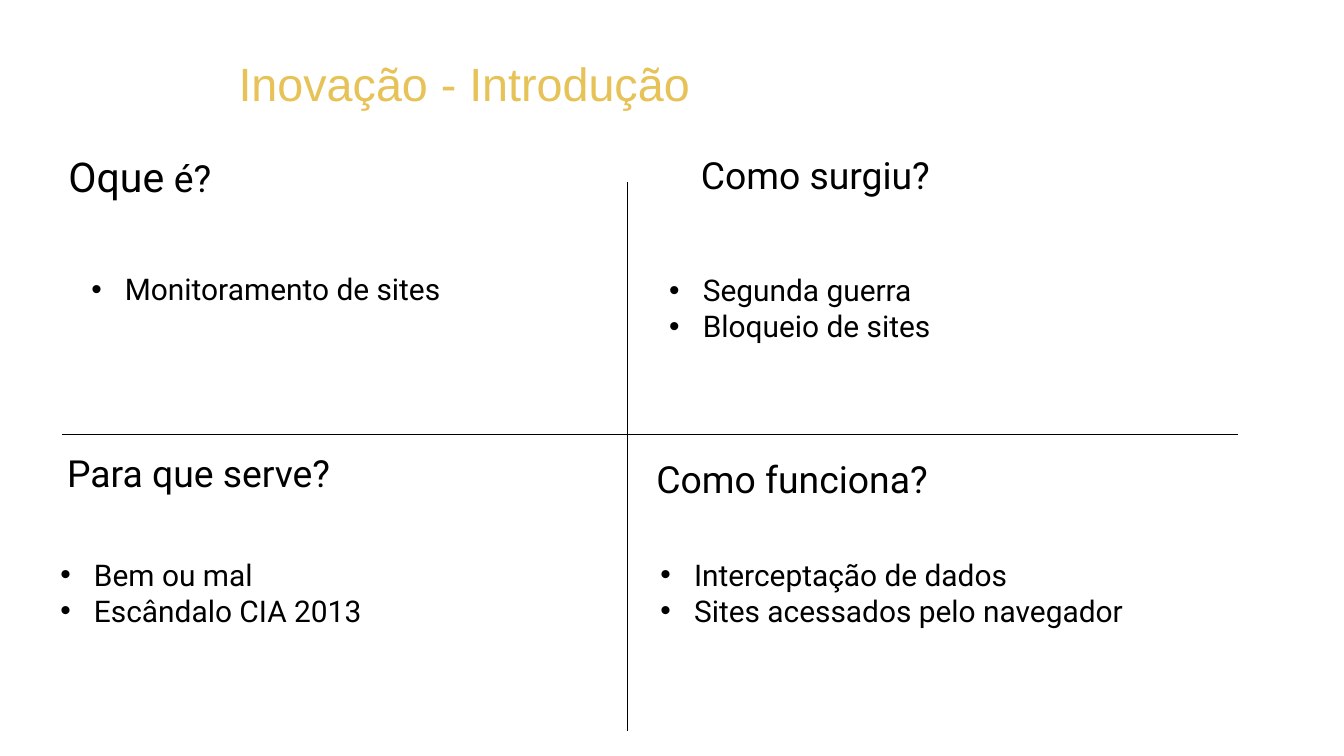
from lxml.etree import SubElement
from pptx import Presentation
from pptx.dml.color import RGBColor
from pptx.enum.shapes import MSO_CONNECTOR as Connector
from pptx.enum.text import MSO_ANCHOR as Anchor, MSO_AUTO_SIZE as AutoSize, PP_ALIGN as Align
from pptx.oxml.ns import qn
from pptx.util import Pt

PX = 9144  # EMU per px, 100 px to the inch
COLORS = {"title": "E6C257", "ink": "000000"}

# heading runs (text, size), heading place, bullets, bullets place
QUADRANTS = [
    ([("Oque", 44), (" é?", 40)], (92, 221, 525, 84),
     ["Monitoramento de sites"], (76, 398, 745, 108)),
    ([("Como surgiu?", 40)], (1033, 221, 525, 77),
     ["Segunda guerra", "Bloqueio de sites"], (936, 400, 745, 162)),
    ([("Para que serve?", 40)], (90, 665, 525, 77),
     ["Bem ou mal", "Escândalo CIA 2013"], (30, 823, 745, 162)),
    ([("Como funciona?", 40)], (967, 674, 525, 77),
     ["Interceptação de dados", "Sites acessados pelo navegador"], (923, 823, 794, 215)),
]


def emu(*lengths):
    return [length * PX for length in lengths]


def rgb(name):
    return RGBColor.from_string(COLORS[name])


def write(paragraph, text, size, font="Roboto", color="ink"):
    run = paragraph.add_run()
    run.text = text
    run.font.size = Pt(size)
    run.font.name = font
    run.font.color.rgb = rgb(color)


def make_bullet(paragraph):
    """Give the paragraph a second-level round bullet with a hanging indent."""
    paragraph.level = 1
    props = paragraph._p.get_or_add_pPr()
    props.set("marL", str(100 * PX))
    props.set("indent", str(-50 * PX))
    SubElement(props, qn("a:buFont"), typeface="Arial")
    SubElement(props, qn("a:buChar"), char="•")


def add_title(slide, text):
    title = slide.shapes.title
    title.left, title.top, title.width, title.height = emu(355, 95, 941, 74)
    frame = title.text_frame
    frame.margin_left = frame.margin_top = frame.margin_right = frame.margin_bottom = 0
    frame.auto_size = AutoSize.NONE
    frame.vertical_anchor = Anchor.TOP
    paragraph = frame.paragraphs[0]
    paragraph.alignment = Align.LEFT
    paragraph.line_spacing = Pt(50)
    write(paragraph, text, 50, font="Arial", color="title")


def add_frame(slide, place):
    frame = slide.shapes.add_textbox(*emu(*place)).text_frame
    frame.word_wrap = True
    return frame


def add_heading(slide, runs, place):
    paragraph = add_frame(slide, place).paragraphs[0]
    for text, size in runs:
        write(paragraph, text, size)


def add_bullets(slide, items, place):
    frame = add_frame(slide, place)
    for index, item in enumerate(items):
        paragraph = frame.add_paragraph() if index else frame.paragraphs[0]
        make_bullet(paragraph)
        write(paragraph, item, 32)


def add_divider(slide, *ends):
    divider = slide.shapes.add_connector(Connector.STRAIGHT, *emu(*ends))
    divider.line.color.rgb = rgb("ink")
    divider.line.width = Pt(0.75)
    SubElement(divider._element.spPr, qn("a:effectLst"))


def main():
    prs = Presentation()
    prs.slide_width, prs.slide_height = emu(2000, 1125)
    slide = prs.slides.add_slide(prs.slide_layouts[5])
    add_title(slide, "Inovação - Introdução")
    add_divider(slide, 92, 646, 1842, 646)
    add_divider(slide, 933, 271, 933, 1088)
    for heading, heading_place, items, items_place in QUADRANTS:
        add_heading(slide, heading, heading_place)
        add_bullets(slide, items, items_place)
    prs.save("out.pptx")


if __name__ == "__main__":
    main()
